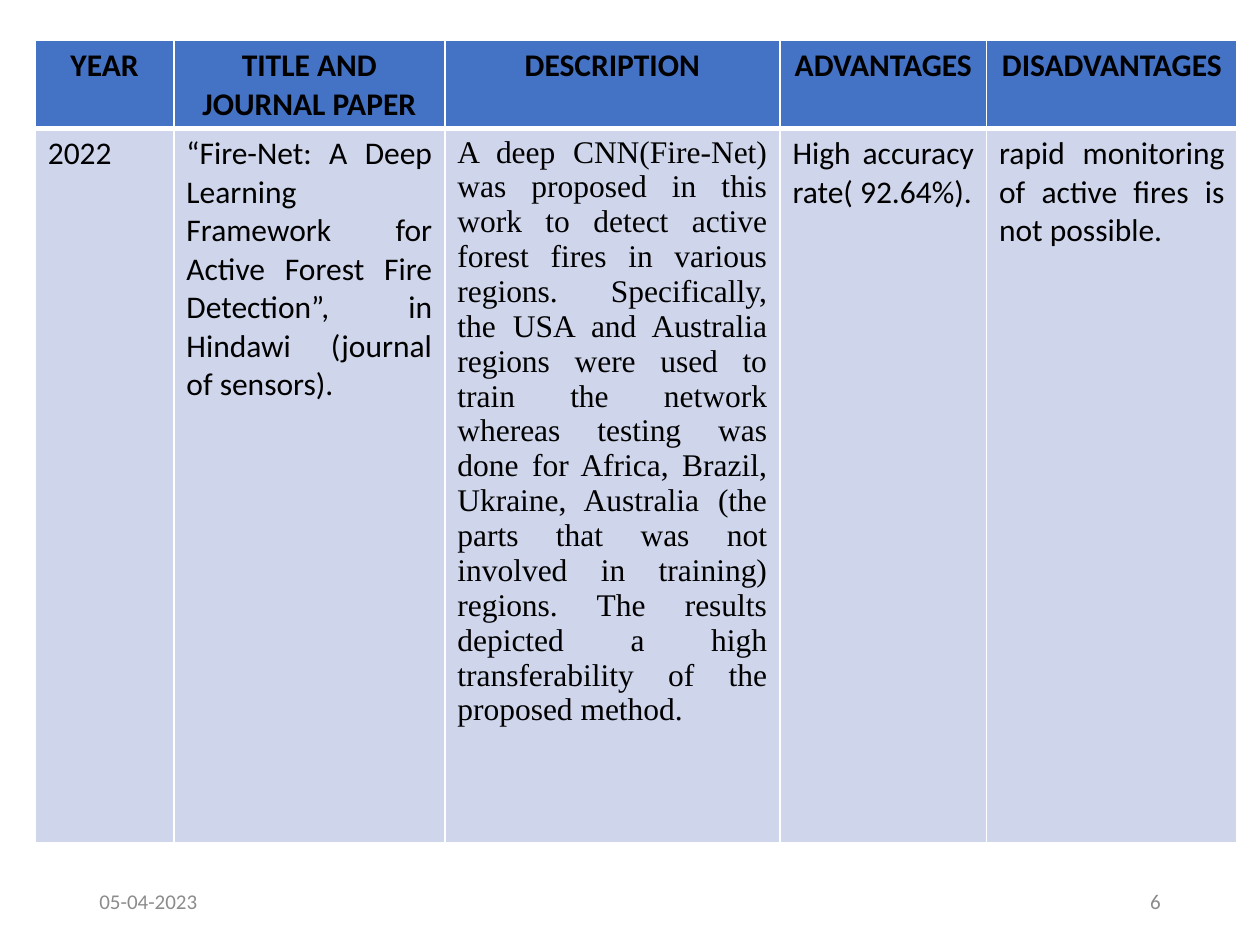
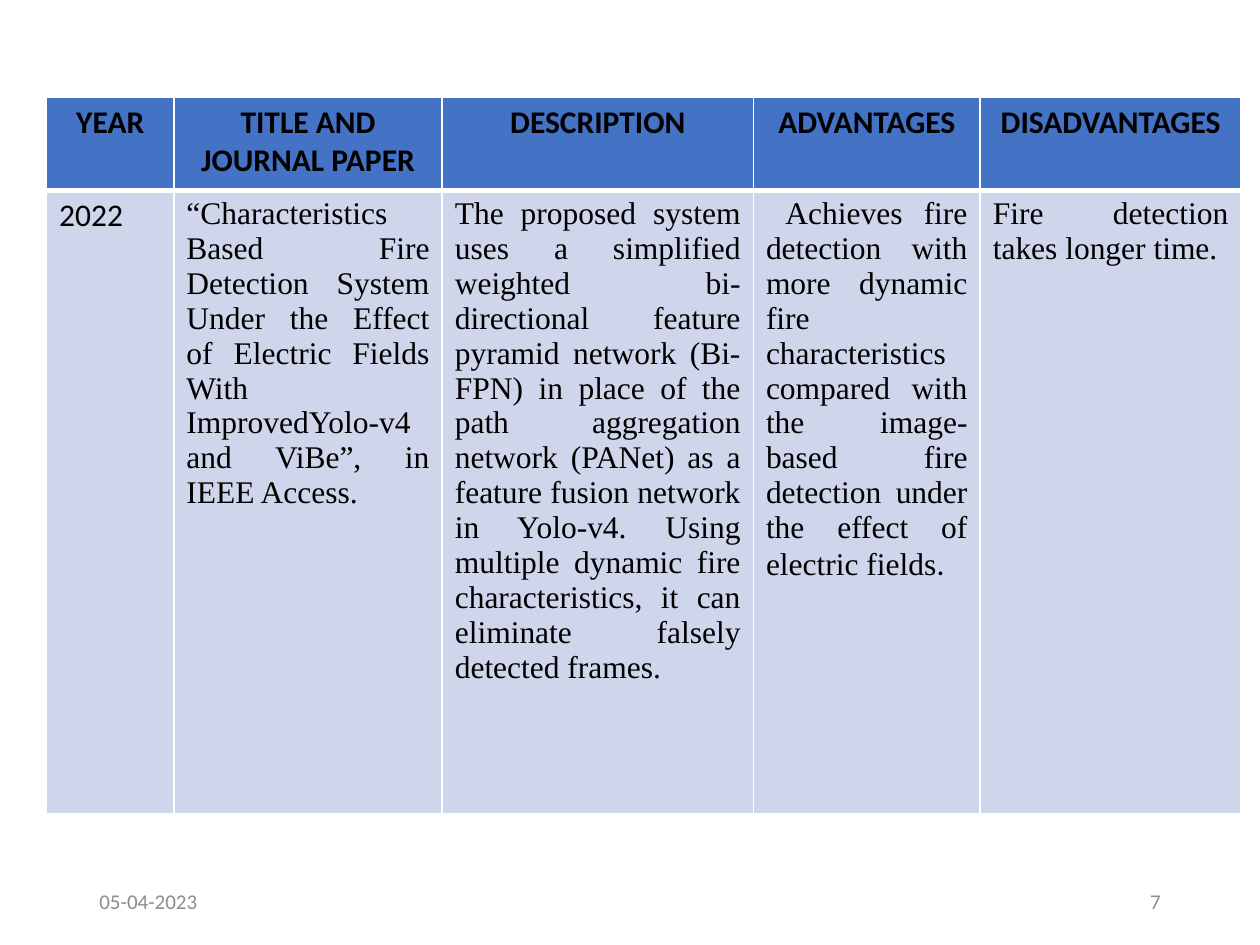
from lxml import etree
from pptx import Presentation
from pptx.dml.color import RGBColor
from pptx.enum.text import MSO_ANCHOR, PP_ALIGN
from pptx.oxml.ns import qn
from pptx.util import Inches, Pt

LEFT, CENTER, RIGHT, JUSTIFY = PP_ALIGN.LEFT, PP_ALIGN.CENTER, PP_ALIGN.RIGHT, PP_ALIGN.JUSTIFY
MIDDLE = MSO_ANCHOR.MIDDLE

BLACK = RGBColor(0x00, 0x00, 0x00)
WHITE = RGBColor(0xFF, 0xFF, 0xFF)
FOOTER_GREY = RGBColor(0x8C, 0x8C, 0x8C)
HEADER_BLUE = RGBColor(0x44, 0x72, 0xC4)
BODY_BLUE = RGBColor(0xCF, 0xD5, 0xEA)

SANS, SERIF = "Calibri", "Times New Roman"
GRID_COLUMNS, GRID_ROWS = 100, 75
CELL = Inches(0.1)
THIN, THICK = 1, 3

DATE = "05-04-2023"
HEADINGS = ["YEAR", "TITLE AND JOURNAL PAPER", "DESCRIPTION", "ADVANTAGES", "DISADVANTAGES"]

# Each survey entry is a list of cells; each cell is a list of (text, font) runs.
FIRE_NET = [
    [("2022", SANS)],
    [("“Fire-Net: A Deep Learning Framework for Active Forest Fire "
      "Detection”, in Hindawi (journal of sensors).", SANS)],
    [("A deep CNN(Fire-Net) was proposed in this work to detect active forest fires "
      "in various regions. Specifically, the USA and Australia regions were used to "
      "train the network whereas testing was done for Africa, Brazil, Ukraine, "
      "Australia (the parts that was not involved in training) regions. The results "
      "depicted a high transferability of the proposed method.", SERIF)],
    [("High accuracy rate( 92.64%).", SANS)],
    [("rapid monitoring of active fires is not possible.", SANS)],
]
ELECTRIC_FIELDS = [
    [("2022", SANS)],
    [("“Characteristics Based Fire Detection System Under the Effect of Electric "
      "Fields With ImprovedYolo-v4 and ViBe”, in IEEE Access.", SERIF)],
    [("The proposed system uses a simplified weighted bi-directional feature pyramid "
      "network (Bi-FPN) in place of the path aggregation network (PANet) as a feature "
      "fusion network in Yolo-v4. Using multiple dynamic fire characteristics, it can "
      "eliminate falsely detected frames.", SERIF)],
    [(" Achieves fire detection with more dynamic fire characteristics compared with "
      "the image-based fire detection under the effect of electric fields", SERIF),
     (".", SANS)],
    [("Fire detection takes longer time.", SERIF)],
]


def grid(units):
    return round(units * CELL)


class SurveyDeck:
    """Holds the shared style and the slide being filled; lengths are grid units."""

    def __init__(self):
        self.presentation = Presentation()
        self.presentation.slide_width = grid(GRID_COLUMNS)
        self.presentation.slide_height = grid(GRID_ROWS)
        self.slide = None

    def add_slide(self, number):
        blank = self.presentation.slide_layouts[6]
        self.slide = self.presentation.slides.add_slide(blank)
        self.footer(6.9, DATE, LEFT)
        self.footer(70.6, str(number), RIGHT)

    def set_text(self, frame, runs, size, color, align, bold=False):
        paragraph = frame.paragraphs[0]
        paragraph.alignment = align
        font = paragraph.font
        font.size, font.bold = Pt(size), bold
        font.color.rgb = color
        fonts_agree = len({name for _, name in runs}) == 1
        if fonts_agree:
            font.name = runs[0][1]
        for text, name in runs:
            run = paragraph.add_run()
            run.text = text
            if not fonts_agree:
                run.font.name = name

    def footer(self, left, text, align):
        box = self.slide.shapes.add_textbox(grid(left), grid(69.5), grid(22.5), grid(4))
        box.text_frame.word_wrap = True
        box.text_frame.vertical_anchor = MIDDLE
        self.set_text(box.text_frame, [(text, SANS)], 12, FOOTER_GREY, align)

    def cell_borders(self, cell, top, bottom):
        properties = cell._tc.get_or_add_tcPr()
        for edge, width in (("L", THIN), ("R", THIN), ("T", top), ("B", bottom)):
            line = etree.SubElement(properties, qn(f"a:ln{edge}"), w=str(Pt(width)))
            fill = etree.SubElement(line, qn("a:solidFill"))
            etree.SubElement(fill, qn("a:srgbClr"), val=str(WHITE))

    def survey_table(self, left, top, widths, heights, entry):
        table = self.slide.shapes.add_table(
            len(heights), len(widths), grid(left), grid(top),
            grid(sum(widths)), grid(sum(heights))).table
        table.horz_banding = False
        for column, width in zip(table.columns, widths):
            column.width = grid(width)
        for row, height in zip(table.rows, heights):
            row.height = grid(height)

        header_runs = [[(heading, SANS)] for heading in HEADINGS]
        bands = [
            (header_runs, HEADER_BLUE, CENTER, True, THIN, THICK),
            (entry, BODY_BLUE, JUSTIFY, False, THICK, THIN),
        ]
        for row, (contents, color, align, bold, above, below) in zip(table.rows, bands):
            for cell, runs in zip(row.cells, contents):
                self.cell_borders(cell, above, below)
                cell.fill.solid()
                cell.fill.fore_color.rgb = color
                self.set_text(cell.text_frame, runs, 18, BLACK, align, bold)


def main():
    deck = SurveyDeck()
    deck.add_slide(6)
    deck.survey_table(2.8, 3.2, [11, 21.5, 26.6, 16.4, 19.9], [7, 56.7], FIRE_NET)
    deck.add_slide(7)
    deck.survey_table(3.7, 7.7, [10.1, 21.3, 24.7, 18, 20.7], [7.4, 49.5], ELECTRIC_FIELDS)
    deck.presentation.save("out.pptx")


if __name__ == "__main__":
    main()
